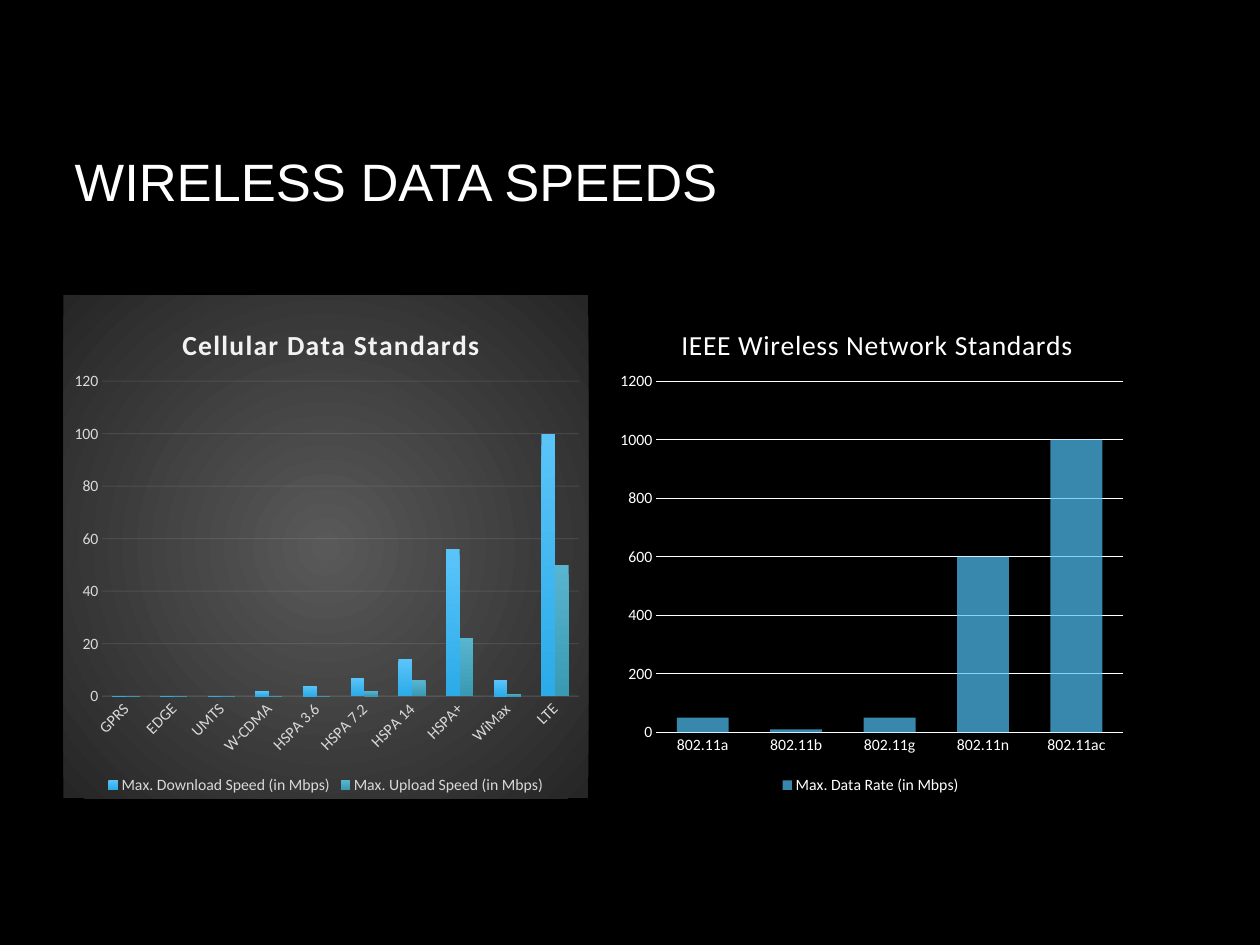
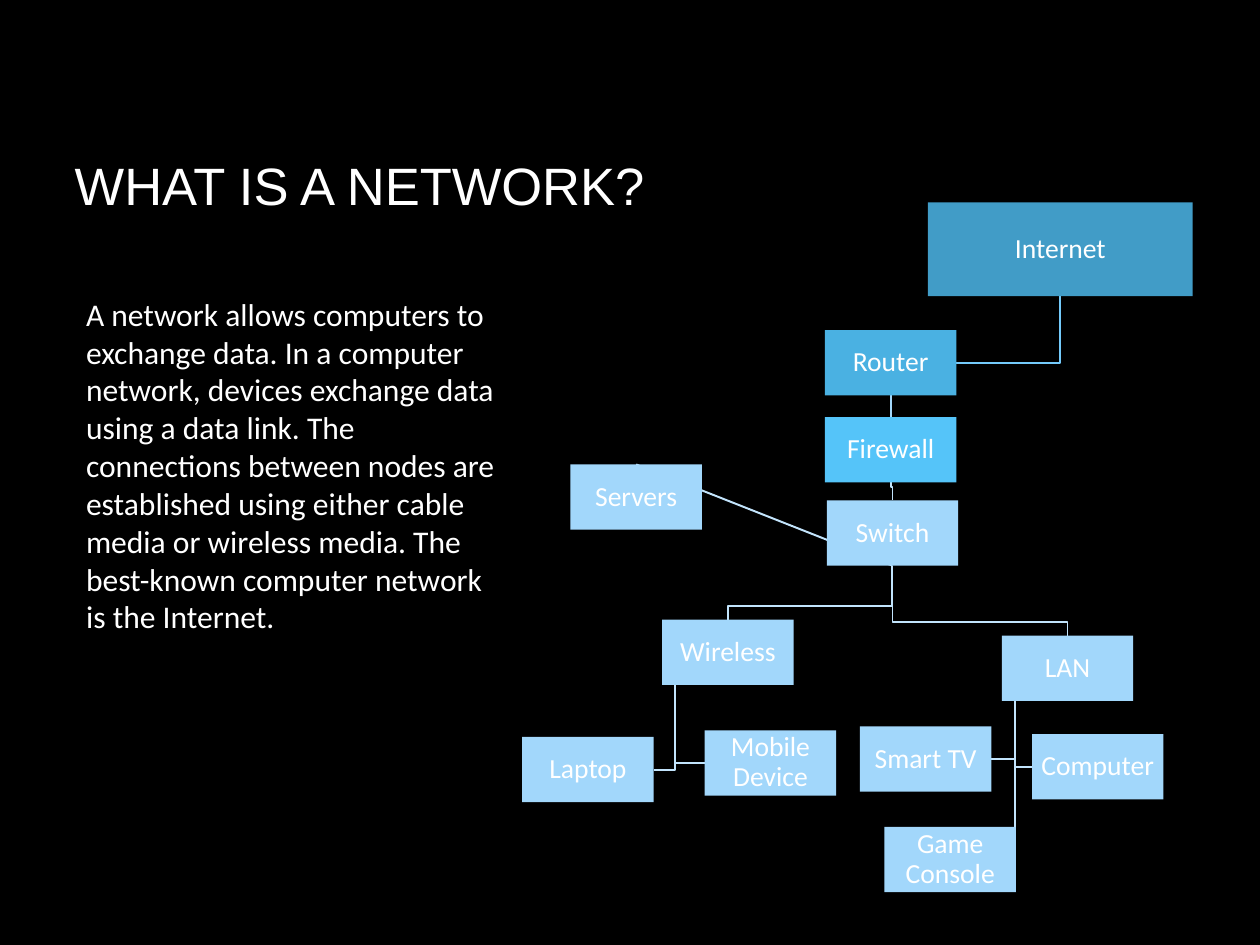
from dataclasses import dataclass
from typing import Any, Optional

from lxml.etree import SubElement
from pptx import Presentation
from pptx.chart.data import CategoryChartData
from pptx.dml.color import RGBColor
from pptx.enum.chart import XL_CHART_TYPE, XL_LEGEND_POSITION, XL_TICK_MARK
from pptx.enum.shapes import MSO_CONNECTOR, MSO_SHAPE
from pptx.enum.text import MSO_ANCHOR, MSO_AUTO_SIZE, PP_ALIGN
from pptx.oxml import parse_xml
from pptx.oxml.ns import nsdecls, qn
from pptx.util import Inches, Pt

BLACK, WHITE = "000000", "FFFFFF"
PALE_BLUE, LINK_BLUE = "A2D7FB", "C2E4FC"
NODE_W, NODE_H, BEND = 1.39, 0.69, 0.14

TITLE_FONT = {"name": "Arial", "size": Pt(40), "bold": False}
BODY_FONT = {"name": "Calibri", "size": Pt(24)}
NODE_FONT = {"name": "Calibri", "size": Pt(21)}
CHART_FONT = {"name": "Calibri", "size": Pt(12), "bold": False}
FRAME = {"word_wrap": True, "auto_size": MSO_AUTO_SIZE.NONE,
         "vertical_anchor": MSO_ANCHOR.MIDDLE}
NODE_MARGINS = {f"margin_{side}": Inches(0.01)
                for side in ("left", "right", "top", "bottom")}


@dataclass
class Series:
    name: str
    values: tuple[float, ...]
    colours: tuple[str, ...]
    opacity: int = 100


@dataclass
class ChartSpec:
    title: str
    title_at: tuple[float, float]
    title_font: dict[str, Any]
    letter_spacing: int
    left: float
    plot: tuple[float, float, float, float]
    categories: tuple[str, ...]
    series: tuple[Series, ...]
    text: str
    line: str
    line_opacity: int
    axis_width: float
    top: int
    step: int
    gap: int
    overlap: int = 0
    label_angle: int = 0
    backdrop: Optional[tuple[str, str]] = None


@dataclass
class Node:
    text: str
    x: float
    y: float
    fill: str = PALE_BLUE
    w: float = NODE_W
    h: float = NODE_H

    @property
    def centre(self) -> float:
        return self.x + self.w / 2

    @property
    def bottom(self) -> float:
        return self.y + self.h


@dataclass
class Link:
    parent: str
    child: str
    route: str
    colour: str = LINK_BLUE


CHARTS = (
    ChartSpec(
        "Cellular Data Standards", (0.217, 0.05), {"size": Pt(21), "bold": True}, 100,
        0.67, (0.074, 0.171, 0.908, 0.626),
        ("GPRS", "EDGE", "UMTS", "W-CDMA", "HSPA 3.6", "HSPA 7.2", "HSPA 14",
         "HSPA+", "WiMax", "LTE"),
        (Series("Max. Download Speed (in Mbps)",
                (0, 0, 0, 2, 4, 7, 14, 56, 6, 100), ("5AC4F9", "2BABE8")),
         Series("Max. Upload Speed (in Mbps)",
                (0, 0, 0, 0, 0, 2, 6, 22, 1, 50), ("57B5D0", "3A99B3"))),
        text="D9D9D9", line="F2F2F2", line_opacity=10, axis_width=0.75,
        top=120, step=20, gap=150, label_angle=-45, backdrop=("595959", "262626")),
    ChartSpec(
        "IEEE Wireless Network Standards", (0.13, 0.05),
        {"size": Pt(21), "bold": False}, 50,
        6.43, (0.091, 0.171, 0.89, 0.698),
        ("802.11a", "802.11b", "802.11g", "802.11n", "802.11ac"),
        (Series("Max. Data Rate (in Mbps)", (50, 10, 50, 600, 1000), ("51C3F9",), 70),),
        text=WHITE, line=WHITE, line_opacity=100, axis_width=1.25,
        top=1200, step=200, gap=80, overlap=25),
)

NODES = (
    Node("Internet", 9.81, 2.14, "419CC7", 2.8, 0.99),
    Node("Router", 8.72, 3.49, "4AB1E2"),
    Node("Firewall", 8.72, 4.41, "55C4F9"),
    Node("Switch", 8.74, 5.29),
    Node("Wireless", 7, 6.55),
    Node("Laptop", 5.52, 7.79),
    Node("Mobile Device", 7.45, 7.72),
    Node("LAN", 10.59, 6.72),
    Node("Computer", 10.91, 7.76),
    Node("Game Console", 9.35, 8.74),
    Node("Smart TV", 9.09, 7.68),
    Node("Servers", 6.03, 4.91),
)

LINKS = (
    Link("Switch", "Servers", "straight"),
    Link("LAN", "Smart TV", "edge"),
    Link("LAN", "Game Console", "edge"),
    Link("LAN", "Computer", "edge"),
    Link("Switch", "LAN", "down"),
    Link("Wireless", "Mobile Device", "edge"),
    Link("Wireless", "Laptop", "edge"),
    Link("Switch", "Wireless", "down"),
    Link("Firewall", "Switch", "down"),
    Link("Router", "Firewall", "down", PALE_BLUE),
    Link("Internet", "Router", "side", "74CAFA"),
)


def rgb(colour: str) -> RGBColor:
    return RGBColor.from_string(colour)


def apply(obj: Any, *formats: dict[str, Any]) -> None:
    for fmt in formats:
        for name, value in fmt.items():
            setattr(obj, name, value)


def set_font(font: Any, colour: str, *formats: dict[str, Any]) -> None:
    apply(font, *formats)
    font.color.rgb = rgb(colour)


def set_line(line: Any, colour: str, width: float, opacity: int = 100) -> None:
    line.color.rgb = rgb(colour)
    line.width = Pt(width)
    fade(line._get_or_add_ln(), opacity)


def fade(element: Any, opacity: int) -> None:
    """Make the colours inside an element partly transparent."""
    if opacity < 100:
        for clr in element.iter(qn("a:srgbClr")):
            SubElement(clr, qn("a:alpha")).set("val", str(opacity * 1000))


def gradient(colours: tuple[str, ...], direction: str) -> Any:
    stops = "".join(f'<a:gs pos="{pos}"><a:srgbClr val="{colour}"/></a:gs>'
                    for pos, colour in zip((0, 100000), colours))
    return parse_xml(f'<a:gradFill {nsdecls("a")} rotWithShape="1">'
                     f"<a:gsLst>{stops}</a:gsLst>{direction}</a:gradFill>")


def set_layout(parent: Any, index: int, **places: float) -> None:
    """Place a chart part by fractions of the chart's size."""
    for old in parent.findall(qn("c:layout")):
        parent.remove(old)
    target = '<c:layoutTarget val="inner"/>' if "w" in places else ""
    modes = "".join(f'<c:{k}Mode val="edge"/>' for k in "xy")
    sizes = "".join(f'<c:{k} val="{v}"/>' for k, v in places.items())
    parent.insert(index, parse_xml(
        f'<c:layout {nsdecls("c")}><c:manualLayout>{target}{modes}{sizes}'
        "</c:manualLayout></c:layout>"))


def place(sp: Any, x: float, y: float, w: float, h: float) -> None:
    apply(sp, dict(left=Inches(x), top=Inches(y), width=Inches(w), height=Inches(h)))


def write(tf: Any, text: str, colour: str, font: dict[str, Any],
          paragraph: dict[str, Any]) -> None:
    apply(tf, FRAME)
    p = tf.paragraphs[0]
    apply(p, paragraph)
    r = p.add_run()
    r.text = text
    set_font(r.font, colour, font)


def add_slide(prs: Any, layout: int, title: str,
              box: tuple[float, float, float, float]) -> Any:
    slide = prs.slides.add_slide(prs.slide_layouts[layout])
    place(slide.shapes.title, *box)
    write(slide.shapes.title.text_frame, title, WHITE, TITLE_FONT,
          {"alignment": PP_ALIGN.LEFT})
    return slide


def style_axes(chart: Any, spec: ChartSpec) -> None:
    cat, val = chart.category_axis, chart.value_axis
    for axis in (cat, val):
        apply(axis, {"major_tick_mark": XL_TICK_MARK.NONE,
                     "minor_tick_mark": XL_TICK_MARK.NONE})
        set_font(axis.tick_labels.font, spec.text, CHART_FONT)
    set_line(cat.format.line, spec.line, spec.axis_width, spec.line_opacity)
    cat._element.txPr.bodyPr.set("rot", str(spec.label_angle * 60000))
    apply(val, {"minimum_scale": 0, "maximum_scale": spec.top, "major_unit": spec.step})
    val.format.line.fill.background()
    set_line(val.major_gridlines.format.line, spec.line, 0.75, spec.line_opacity)


def add_column_chart(slide: Any, spec: ChartSpec) -> None:
    data = CategoryChartData()
    data.categories = spec.categories
    for s in spec.series:
        data.add_series(s.name, s.values)
    chart = slide.shapes.add_chart(
        XL_CHART_TYPE.COLUMN_CLUSTERED, Inches(spec.left), Inches(3.12),
        Inches(5.55), Inches(5.32), data).chart
    set_font(chart.font, WHITE, CHART_FONT, {"size": Pt(10)})

    p = chart.chart_title.text_frame.paragraphs[0]
    r = p.add_run()
    r.text = spec.title
    set_font(r.font, "F2F2F2" if spec.backdrop else WHITE, CHART_FONT, spec.title_font)
    r._r.get_or_add_rPr().set("spc", str(spec.letter_spacing))
    set_layout(chart.chart_title._element, 1, **dict(zip("xy", spec.title_at)))
    set_layout(chart._chartSpace.chart.plotArea, 0, **dict(zip("xywh", spec.plot)))

    style_axes(chart, spec)
    chart.has_legend = True
    apply(chart.legend, {"position": XL_LEGEND_POSITION.BOTTOM,
                         "include_in_layout": False})
    set_font(chart.legend.font, spec.text, CHART_FONT)

    plot = chart.plots[0]
    apply(plot, {"gap_width": spec.gap, "overlap": spec.overlap,
                 "vary_by_categories": False})
    for column, s in zip(plot.series, spec.series):
        if len(s.colours) > 1:
            column._element.get_or_add_spPr().append(
                gradient(s.colours, '<a:lin ang="5400000" scaled="0"/>'))
        else:
            column.format.fill.solid()
            column.format.fill.fore_color.rgb = rgb(s.colours[0])
            fade(column._element.spPr, s.opacity)

    if spec.backdrop:
        sp_pr = parse_xml(f'<c:spPr {nsdecls("c", "a")}><a:ln><a:noFill/></a:ln></c:spPr>')
        sp_pr.insert(0, gradient(spec.backdrop, (
            '<a:path path="circle"><a:fillToRect l="50000" t="50000" '
            'r="50000" b="50000"/></a:path>')))
        chart._chartSpace.chart.addnext(sp_pr)


def route_points(a: Node, b: Node, route: str) -> list[tuple[float, float]]:
    """Corners from the parent's bottom to the child's top or nearer side."""
    if route == "straight":
        return [(a.centre, a.bottom), (b.centre, b.y)]
    if route == "down":
        bend = b.y - BEND
        return [(a.centre, a.bottom), (a.centre, bend), (b.centre, bend), (b.centre, b.y)]
    x = a.x + BEND if route == "edge" else a.centre
    y = b.y + b.h / 2
    return [(x, a.bottom), (x, y), (b.x if b.x > x else b.x + b.w, y)]


def add_link(slide: Any, link: Link, nodes: dict[str, Node]) -> None:
    corners = route_points(nodes[link.parent], nodes[link.child], link.route)
    points = [(Inches(x), Inches(y)) for x, y in corners]
    if len(points) == 2:
        sp = slide.shapes.add_connector(MSO_CONNECTOR.STRAIGHT, *points[0], *points[1])
        set_line(sp.line, link.colour, 1.5)
        SubElement(sp._element.spPr, qn("a:effectLst"))
        return
    builder = slide.shapes.build_freeform(*points[0])
    builder.add_line_segments(points[1:], close=False)
    sp = builder.convert_to_shape()
    sp.fill.background()
    set_line(sp.line, link.colour, 1.5)
    sp.shadow.inherit = False


def add_node(slide: Any, node: Node) -> None:
    sp = slide.shapes.add_shape(MSO_SHAPE.RECTANGLE, Inches(node.x), Inches(node.y),
                                Inches(node.w), Inches(node.h))
    sp.fill.solid()
    sp.fill.fore_color.rgb = rgb(node.fill)
    sp.line.fill.background()
    sp.shadow.inherit = False
    apply(sp.text_frame, NODE_MARGINS)
    write(sp.text_frame, node.text, WHITE, NODE_FONT,
          {"alignment": PP_ALIGN.CENTER, "line_spacing": 0.9})


def main() -> None:
    prs = Presentation()
    apply(prs, {"slide_width": Inches(13.32), "slide_height": Inches(9.99)})
    fill = prs.slide_master.background.fill
    fill.solid()
    fill.fore_color.rgb = rgb(BLACK)

    speeds = add_slide(prs, 5, "WIRELESS DATA SPEEDS", (0.69, 0.97, 10.03, 1.88))
    for spec in CHARTS:
        add_column_chart(speeds, spec)

    network = add_slide(prs, 1, "WHAT IS A NETWORK?", (0.69, 0.89, 11.32, 2.12))
    body = network.placeholders[1]
    place(body, 0.81, 2.85, 4.58, 4.13)
    write(body.text_frame, (
        "A network allows computers to exchange data. In a computer network, devices "
        "exchange data using a data link. The connections between nodes are established "
        "using either cable media or wireless media. The best-known computer network is "
        "the Internet."), WHITE, BODY_FONT, {"space_before": Pt(0)})
    p_pr = body.text_frame.paragraphs[0]._p.get_or_add_pPr()
    apply_indent = {"marL": "0", "indent": "0"}
    for name, value in apply_indent.items():
        p_pr.set(name, value)
    SubElement(p_pr, qn("a:buNone"))

    nodes = {node.text: node for node in NODES}
    for link in LINKS:
        add_link(network, link, nodes)
    for node in NODES:
        add_node(network, node)
    prs.save("out.pptx")


if __name__ == "__main__":
    main()
